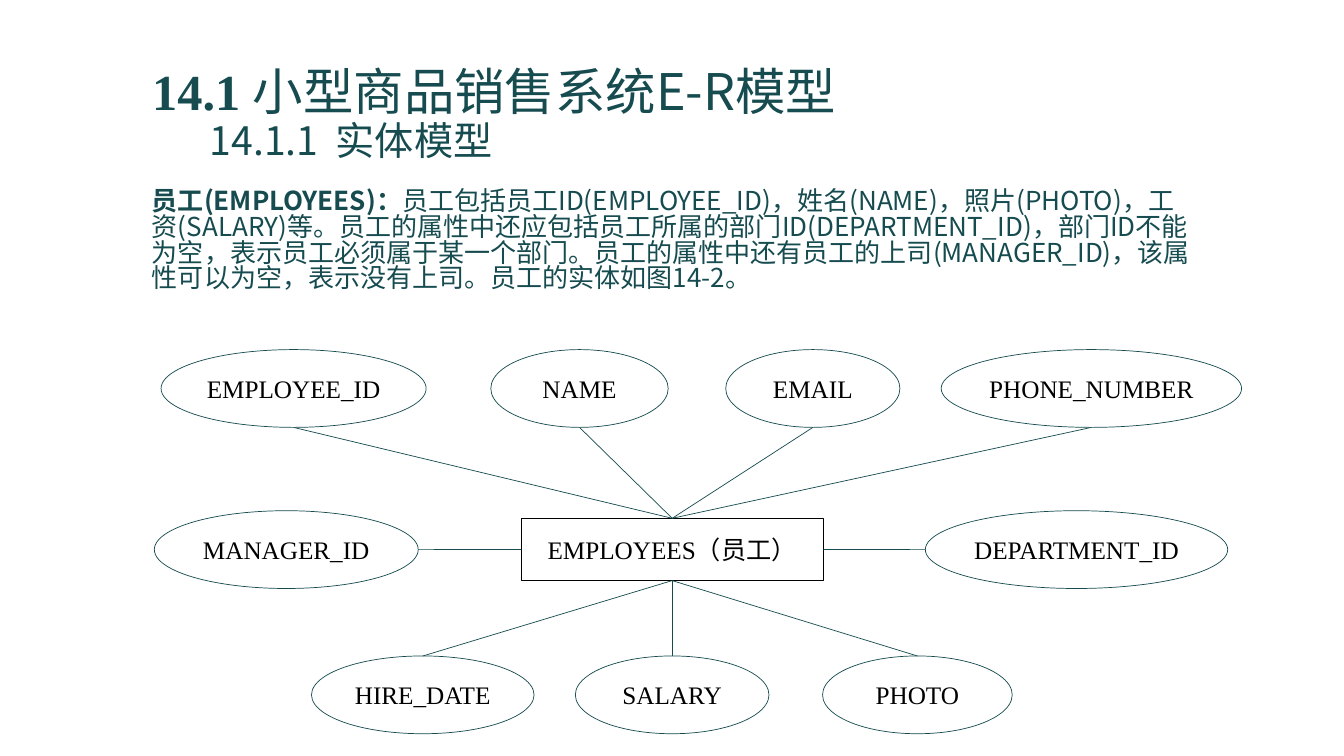
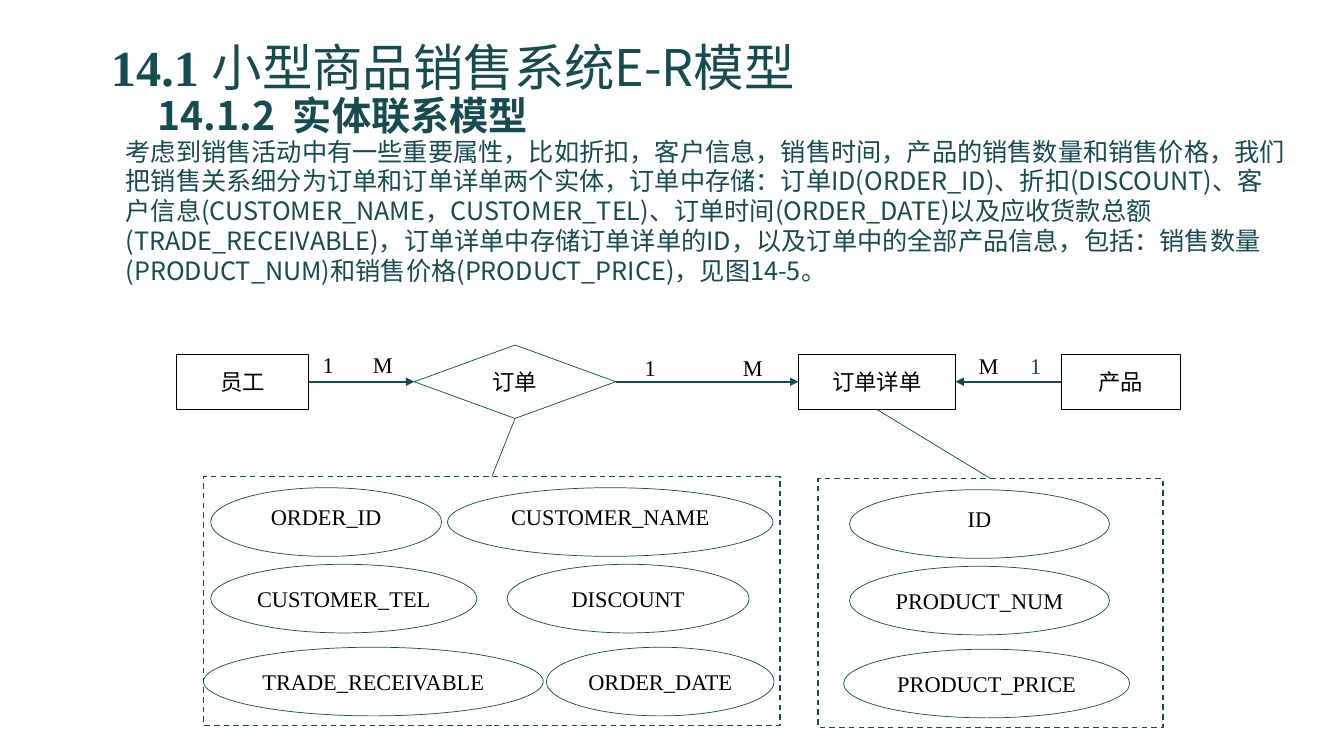
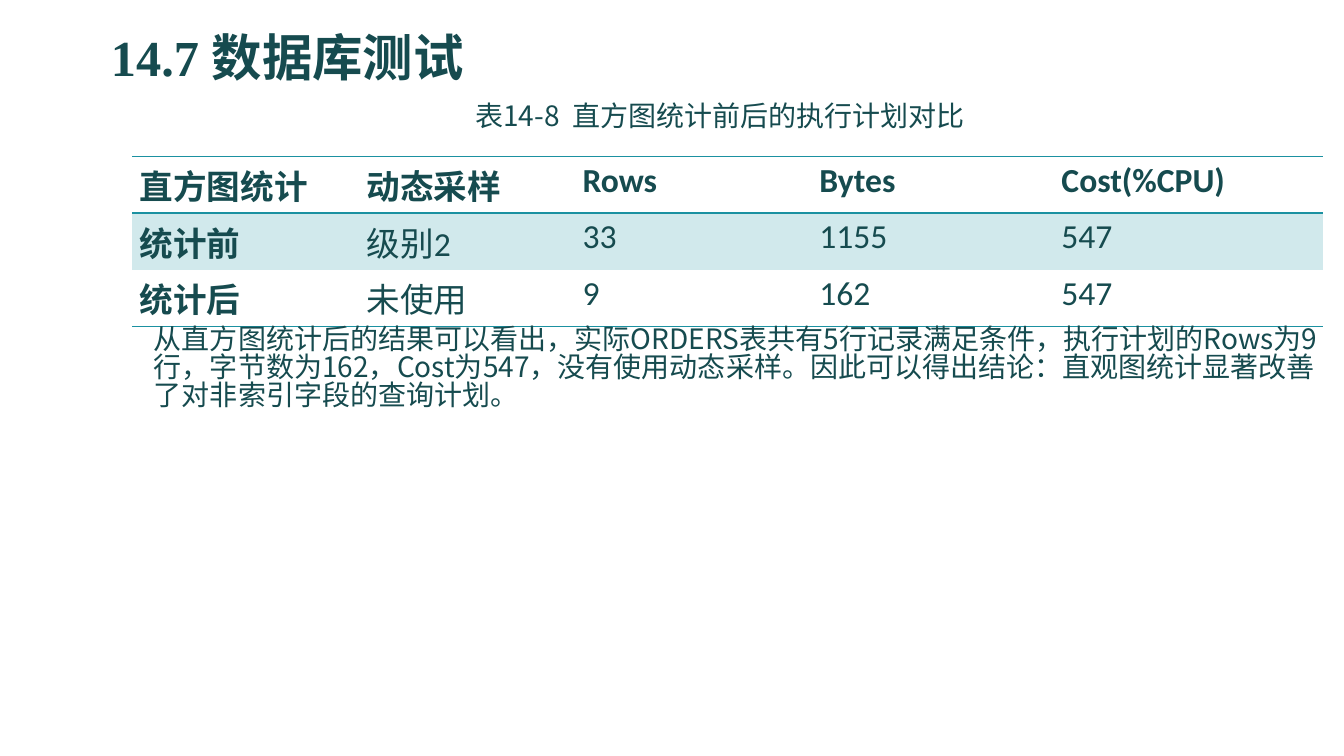
from lxml import etree
from pptx import Presentation
from pptx.dml.color import RGBColor
from pptx.enum.dml import MSO_LINE
from pptx.enum.shapes import MSO_CONNECTOR, MSO_SHAPE
from pptx.enum.text import MSO_ANCHOR, MSO_AUTO_SIZE, PP_ALIGN
from pptx.oxml.ns import qn
from pptx.util import Cm, Pt

RECT, OVAL = MSO_SHAPE.RECTANGLE, MSO_SHAPE.OVAL
CHOICE = MSO_SHAPE.FLOWCHART_DECISION
STRAIGHT, DASH = MSO_CONNECTOR.STRAIGHT, MSO_LINE.DASH
TOP, MIDDLE, BOTTOM = MSO_ANCHOR.TOP, MSO_ANCHOR.MIDDLE, MSO_ANCHOR.BOTTOM
LEFT, CENTER = PP_ALIGN.LEFT, PP_ALIGN.CENTER

DARK = RGBColor(0x16, 0x4B, 0x4F)
TEAL = RGBColor(0x1B, 0x91, 0xA1)
PALE = RGBColor(0xD1, 0xE9, 0xEC)
BLACK = RGBColor(0, 0, 0)
WHITE = RGBColor(255, 255, 255)
SANS, SERIF, LATIN = "Noto Sans CJK SC", "Times New Roman", "Calibri"

NUM = dict(font=SERIF, bold=True)
SUB = dict(size=28)
MODEL = [("14.1 ", NUM), ("小型商品销售系统E-R模型", {})]

STAFF = [
    ("员工(EMPLOYEES)：", dict(bold=True)),
    ("员工包括员工ID(EMPLOYEE_ID)，姓名(NAME)，照片(PHOTO)，工资(SALARY)等。"
     "员工的属性中还应包括员工所属的部门ID(DEPARTMENT_ID)，部门ID不能为空，"
     "表示员工必须属于某一个部门。员工的属性中还有员工的上司(MANAGER_ID)，"
     "该属性可以为空，表示没有上司。员工的实体如图14-2。", {}),
]
ENTITY = ("EMPLOYEES（员工）", 13.13, 13.06, 7.62, 1.57)
FIELDS = {
    "top": (8.81, [("EMPLOYEE_ID", 4.06, 6.68), ("NAME", 12.37, 4.47),
                   ("EMAIL", 18.29, 4.39), ("PHONE_NUMBER", 23.72, 7.57)]),
    "left": (12.87, [("MANAGER_ID", 3.89, 6.65)]),
    "right": (12.87, [("DEPARTMENT_ID", 23.32, 7.62)]),
    "bottom": (16.53, [("HIRE_DATE", 7.85, 5.61), ("SALARY", 14.5, 4.88),
                       ("PHOTO", 20.73, 4.78)]),
}
FACING = dict(top="bottom", bottom="top", left="right", right="left")

ORDER = ("考虑到销售活动中有一些重要属性，比如折扣，客户信息，销售时间，"
         "产品的销售数量和销售价格，我们把销售关系细分为订单和订单详单两个实体，"
         "订单中存储：订单ID(ORDER_ID)、折扣(DISCOUNT)、"
         "客户信息(CUSTOMER_NAME，CUSTOMER_TEL)、订单时间(ORDER_DATE)"
         "以及应收货款总额(TRADE_RECEIVABLE)，订单详单中存储订单详单的ID，"
         "以及订单中的全部产品信息，包括：销售数量(PRODUCT_NUM)"
         "和销售价格(PRODUCT_PRICE)，见图14-5。")
CHAIN = [
    ("员工", RECT, 4.45, 3.33, 1.4),
    ("订单", CHOICE, 10.44, 5.08, 1.85),
    ("订单详单", RECT, 20.12, 3.96, 1.4),
    ("产品", RECT, 26.75, 3, 1.4),
]
AXIS = 9.62
ARROWS = [(0, 1), (1, 2), (3, 2)]
MARKS = [
    ("1", 7.49, 8.84, BLACK), ("M", 8.86, 8.84, BLACK),
    ("1", 15.6, 8.92, BLACK), ("M", 18.19, 8.92, BLACK),
    ("M", 24.13, 8.86, BLACK), ("1", 25.32, 8.86, DARK),
]
GROUPS = [
    (1, (5.13, 12.01, 14.53, 6.27), [
        [("ORDER_ID", 5.31, 5.82), ("CUSTOMER_NAME", 11.28, 8.2)],
        [("CUSTOMER_TEL", 5.31, 6.71), ("DISCOUNT", 12.78, 6.1)],
        [("TRADE_RECEIVABLE", 5.13, 8.56), ("ORDER_DATE", 13.77, 5.74)]]),
    (2, (20.62, 12.06, 8.69, 6.27), [
        [("ID", 21.41, 6.55)],
        [("PRODUCT_NUM", 21.41, 6.55)],
        [("PRODUCT_PRICE", 21.26, 7.21)]]),
]
STEPS = [0.28, 2.21, 4.3]

PLANS = [
    ["直方图统计", "动态采样", "Rows", "Bytes", "Cost(%CPU)"],
    ["统计前", "级别2", "33", "1155", "547"],
    ["统计后", "未使用", "9", "162", "547"],
]
WIDTHS = [5.72, 5.44, 5.97, 6.1, 6.78]
CAPTION = "表14-8  直方图统计前后的执行计划对比"
RESULT = ("从直方图统计后的结果可以看出，实际ORDERS表共有5行记录满足条件，"
          "执行计划的Rows为9行，字节数为162，Cost为547，没有使用动态采样。"
          "因此可以得出结论：直观图统计显著改善了对非索引字段的查询计划。")


def write(frame, text, size=18, font=SANS, color=DARK, bold=False, align=LEFT,
          anchor=TOP, space=1.0, indents=(0,), inset=None):
    frame.word_wrap = True
    frame.auto_size = MSO_AUTO_SIZE.NONE
    frame.vertical_anchor = anchor
    if inset is not None:
        frame.margin_left = frame.margin_right = Cm(inset)
        frame.margin_top = frame.margin_bottom = Cm(inset)
    paras = [[(text, {})]] if isinstance(text, str) else text
    for i, (runs, indent) in enumerate(zip(paras, indents)):
        para = frame.paragraphs[0] if i == 0 else frame.add_paragraph()
        para.alignment, para.line_spacing = align, space
        if indent:
            props = para._p.get_or_add_pPr()
            props.set("marL", str(Cm(indent)))
            props.set("indent", "0")
        for words, own in runs:
            style = dict(size=size, font=font, bold=bold) | own
            run = para.add_run()
            run.text = words
            run.font.size, run.font.bold = Pt(style["size"]), style["bold"]
            run.font.name, run.font.color.rgb = style["font"], color
            east = etree.SubElement(run._r.get_or_add_rPr(), qn("a:ea"))
            east.set("typeface", SANS)


def start(deck, box, paras, **form):
    slide = deck.slides.add_slide(deck.slide_layouts[5])
    title = slide.shapes.title
    title.left, title.top, title.width, title.height = map(Cm, box)
    write(title.text_frame, paras, size=36, anchor=BOTTOM, space=0.9, **form)
    return slide


def note(slide, box, text, **form):
    area = slide.shapes.add_textbox(*map(Cm, box))
    write(area.text_frame, text, **form)


def node(slide, kind, box, text="", edge=DARK, weight=0.5, fill=WHITE, **form):
    shape = slide.shapes.add_shape(kind, *map(Cm, box))
    shape.shadow.inherit = False
    if fill is None:
        shape.fill.background()
    else:
        shape.fill.solid()
        shape.fill.fore_color.rgb = fill
    shape.line.color.rgb, shape.line.width = edge, Pt(weight)
    if text:
        write(shape.text_frame, text, font=SERIF, color=BLACK, align=CENTER,
              anchor=MIDDLE, inset=0, **form)
    return shape


def port(shape, side):
    x, y, w, h = shape.left, shape.top, shape.width, shape.height
    return dict(top=(x + w // 2, y), bottom=(x + w // 2, y + h),
                left=(x, y + h // 2), right=(x + w, y + h // 2))[side]


def link(slide, a, b, weight=0.5, arrow=False):
    line = slide.shapes.add_connector(STRAIGHT, *a, *b)
    line.line.color.rgb, line.line.width = DARK, Pt(weight)
    if arrow:
        tail = etree.SubElement(line.line._get_or_add_ln(), qn("a:tailEnd"))
        tail.set("type", "triangle")
    etree.SubElement(line._element.spPr, qn("a:effectLst"))


def border(cell, **sides):
    props = cell._tc.get_or_add_tcPr()
    for i, side in enumerate(("L", "R", "T", "B")):
        weight = sides.get(side, 0)
        line = etree.Element(qn("a:ln" + side), w=str(Pt(weight)))
        if weight:
            fill = etree.SubElement(line, qn("a:solidFill"))
            etree.SubElement(fill, qn("a:srgbClr"), val=str(TEAL))
        else:
            etree.SubElement(line, qn("a:noFill"))
        props.insert(i, line)


def staff(deck):
    slide = start(deck, (3.58, 1.07, 26.67, 3.18),
                  [MODEL, [("14.1.1  实体模型", SUB)]], indents=(0, 1.45))
    note(slide, (3.58, 4.65, 26.67, 3.63), [STAFF], size=18.6, space=0.83)
    name, *box = ENTITY
    hub = node(slide, RECT, box, name, edge=BLACK)
    for side, (y, items) in FIELDS.items():
        for text, x, w in items:
            field = node(slide, OVAL, (x, y, w, 1.96), text)
            link(slide, port(hub, side), port(field, FACING[side]))


def order(deck):
    slide = start(deck, (2.54, 0.03, 26.67, 3.61),
                  [MODEL, [("14.1.2  实体联系模型", dict(size=28, bold=True))]],
                  indents=(0, 1.17))
    note(slide, (2.92, 3.33, 29.79, 4.24), ORDER, space=0.99)
    chain = [node(slide, kind, (x, AXIS - h / 2, w, h), text, size=16,
                  edge=BLACK if kind == RECT else DARK)
             for text, kind, x, w, h in CHAIN]
    for a, b in ARROWS:
        out, into = ("right", "left") if a < b else ("left", "right")
        link(slide, port(chain[a], out), port(chain[b], into), 1.5, True)
    for text, x, y, color in MARKS:
        note(slide, (x, y, 1.57, 0.69), text, size=16, font=SERIF, color=color,
             align=CENTER, anchor=MIDDLE, inset=0)
    for owner, box, rows in GROUPS:
        for step, row in zip(STEPS, rows):
            space = Pt(12) if step == STEPS[0] else 1.0
            for text, x, w in row:
                node(slide, OVAL, (x, box[1] + step, w, 1.73), text,
                     size=16, space=space)
        frame = node(slide, RECT, box, weight=1, fill=None)
        frame.line.dash_style = DASH
        link(slide, port(chain[owner], "bottom"), port(frame, "top"))


def tests(deck):
    slide = start(deck, (2.54, 0.03, 26.67, 2.29),
                  [[("14.7 数据库测试", NUM)]])
    note(slide, (2.54, 2.51, 30.61, 1.19), CAPTION, size=20, align=CENTER,
         space=0.83, indents=(0.61,))
    grid = slide.shapes.add_table(len(PLANS), len(WIDTHS), Cm(3.33), Cm(3.94),
                                  Cm(sum(WIDTHS)), Cm(3.81)).table
    for col, w in zip(grid.columns, WIDTHS):
        col.width = Cm(w)
    edges = [dict(T=1, B=1.5), dict(T=1.5), dict(B=1)]
    for r, row in enumerate(PLANS):
        grid.rows[r].height = Cm(1.27)
        for c, text in enumerate(row):
            cell = grid.cell(r, c)
            cell.margin_left = cell.margin_right = Cm(0.19)
            cell.margin_top = cell.margin_bottom = Cm(0.1)
            if r == 1:
                cell.fill.solid()
                cell.fill.fore_color.rgb = PALE
            else:
                cell.fill.background()
            write(cell.text_frame, text, size=24, font=LATIN,
                  bold=r == 0 or c == 0)
            border(cell, **edges[r])
    note(slide, (3.02, 8.13, 30.61, 3.99), RESULT, size=20, space=0.83,
         indents=(0.61,))


def main():
    deck = Presentation()
    deck.slide_width, deck.slide_height = Cm(33.87), Cm(19.05)
    for build in (staff, order, tests):
        build(deck)
    deck.save("out.pptx")


if __name__ == "__main__":
    main()
